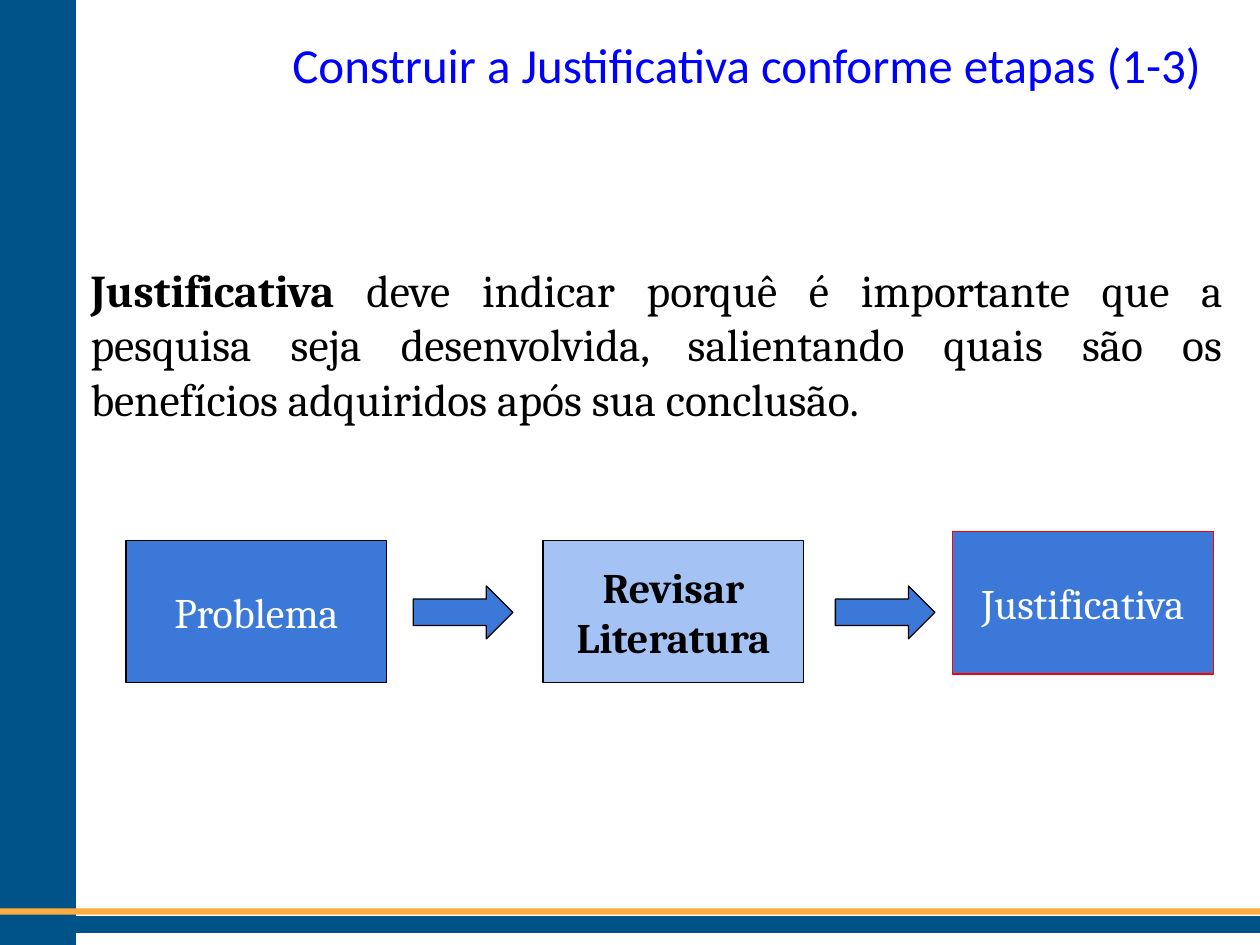
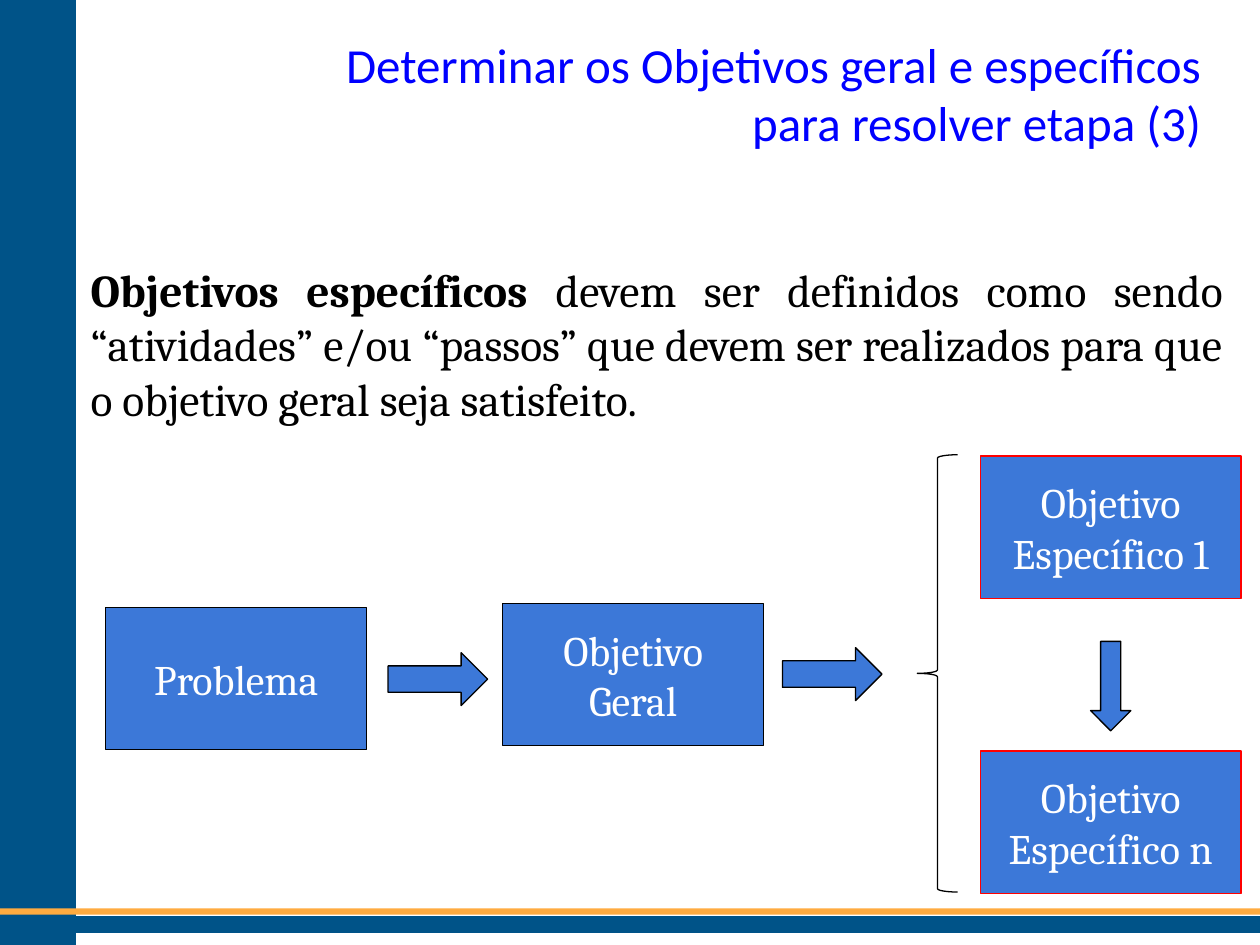
from pptx import Presentation
from pptx.dml.color import RGBColor
from pptx.enum.shapes import MSO_SHAPE
from pptx.enum.text import MSO_ANCHOR, MSO_AUTO_SIZE, PP_ALIGN
from pptx.util import Inches, Pt

RECTANGLE = MSO_SHAPE.RECTANGLE
RIGHT_ARROW = MSO_SHAPE.RIGHT_ARROW
DOWN_ARROW = MSO_SHAPE.DOWN_ARROW
LEFT_BRACE = MSO_SHAPE.LEFT_BRACE
TOP, MIDDLE = MSO_ANCHOR.TOP, MSO_ANCHOR.MIDDLE
CENTER, RIGHT, JUSTIFY = PP_ALIGN.CENTER, PP_ALIGN.RIGHT, PP_ALIGN.JUSTIFY
NO_AUTOFIT = MSO_AUTO_SIZE.NONE

NAVY, ORANGE = "005388", "FFAB40"
BLUE, LIGHT_BLUE = "3C78D8", "A4C2F4"
TITLE_BLUE, RED, BLACK, WHITE = "0000FF", "FF0000", "000000", "FFFFFF"
TITLE_FONT, BODY_FONT = "Calibri", "Cambria"
TITLE_ONLY_LAYOUT = 5
STEP_WIDTH, STEP_HEIGHT = 2.07, 1.13
ARROW_WIDTH, ARROW_HEIGHT = 0.79, 0.42


def color(hex_value):
    return RGBColor.from_string(hex_value)


def add_run(paragraph, text, size=24, font=BODY_FONT, ink=BLACK, bold=False):
    run = paragraph.add_run()
    run.text = text
    run.font.size = Pt(size)
    run.font.name = font
    run.font.bold = bold
    run.font.color.rgb = color(ink)


def set_frame(shape, align, anchor, vertical_margin=0.1):
    frame = shape.text_frame
    frame.word_wrap = True
    frame.auto_size = NO_AUTOFIT
    frame.vertical_anchor = anchor
    frame.margin_left = frame.margin_right = Inches(0.1)
    frame.margin_top = frame.margin_bottom = Inches(vertical_margin)
    paragraph = frame.paragraphs[0]
    paragraph.alignment = align
    return paragraph


def add_figure(slide, kind, box, fill=None, line=None, line_width=0.75):
    shape = slide.shapes.add_shape(kind, *map(Inches, box))
    shape.shadow.inherit = False
    if fill:
        shape.fill.solid()
        shape.fill.fore_color.rgb = color(fill)
    else:
        shape.fill.background()
    if line:
        shape.line.color.rgb = color(line)
        shape.line.width = Pt(line_width)
    else:
        shape.line.fill.background()
    return shape


def add_bands(slide):
    add_figure(slide, RECTANGLE, (0, 0, 0.6, 7.5), NAVY, NAVY, 1)
    add_figure(slide, RECTANGLE, (0, 7.28, 10, 0.12), NAVY, NAVY, 1)
    add_figure(slide, RECTANGLE, (0, 7.21, 10, 0.05), ORANGE)


def add_title(slide, text, box):
    title = slide.shapes.title
    title.left, title.top, title.width, title.height = map(Inches, box)
    add_run(set_frame(title, RIGHT, TOP), text, size=28, font=TITLE_FONT, ink=TITLE_BLUE)


def add_definition(slide, term, explanation, box):
    text_box = slide.shapes.add_textbox(*map(Inches, box))
    paragraph = set_frame(text_box, JUSTIFY, TOP, vertical_margin=0.05)
    add_run(paragraph, term, size=26, bold=True)
    add_run(paragraph, explanation, size=26)


def add_step(slide, text, left, top, fill=BLUE, line=BLACK, ink=WHITE, bold=False):
    step = add_figure(slide, RECTANGLE, (left, top, STEP_WIDTH, STEP_HEIGHT), fill, line)
    add_run(set_frame(step, CENTER, MIDDLE), text, ink=ink, bold=bold)


def add_right_arrow(slide, left, top):
    add_figure(slide, RIGHT_ARROW, (left, top, ARROW_WIDTH, ARROW_HEIGHT), BLUE, BLACK)


def add_justification_flow(slide, left, top):
    add_step(slide, "Problema", left, top + 0.07)
    add_right_arrow(slide, left + 2.28, top + 0.43)
    add_step(slide, "Revisar Literatura", left + 3.31, top + 0.07,
             fill=LIGHT_BLUE, ink=BLACK, bold=True)
    add_right_arrow(slide, left + 5.63, top + 0.43)
    add_step(slide, "Justificativa", left + 6.56, top, line=RED)


def add_specific_objectives(slide, left, top, height):
    add_figure(slide, LEFT_BRACE, (left, top, 0.32, height), line=BLACK)
    step_left = left + 0.5
    last_top = top + height - STEP_HEIGHT
    add_step(slide, "Objetivo Específico 1", step_left, top + 0.01, line=RED)
    add_step(slide, "Objetivo Específico n", step_left, last_top + 0.01, line=RED)
    arrow_left = step_left + (STEP_WIDTH - 0.32) / 2
    add_figure(slide, DOWN_ARROW, (arrow_left, top + 1.48, 0.32, 0.71), BLUE, BLACK)


def add_objectives_flow(slide, left, top):
    add_step(slide, "Problema", left, top + 1.21)
    add_right_arrow(slide, left + 2.24, top + 1.57)
    add_step(slide, "Objetivo Geral", left + 3.15, top + 1.18)
    add_right_arrow(slide, left + 5.37, top + 1.53)
    add_specific_objectives(slide, left + 6.44, top, 3.47)


def add_content_slide(presentation, title, title_box, term, explanation, body_height):
    slide = presentation.slides.add_slide(presentation.slide_layouts[TITLE_ONLY_LAYOUT])
    add_bands(slide)
    add_title(slide, title, title_box)
    add_definition(slide, term, explanation, (0.62, 2.03, 9.19, body_height))
    return slide


def main():
    presentation = Presentation()
    presentation.slide_width, presentation.slide_height = Inches(10), Inches(7.5)

    justification = add_content_slide(
        presentation, "Construir a Justificativa conforme etapas (1-3)",
        (1.62, 0.17, 8.01, 0.78), "Justificativa ",
        "deve indicar porquê é importante que a pesquisa seja desenvolvida, "
        "salientando quais são os benefícios adquiridos após sua conclusão.", 1.57)
    add_justification_flow(justification, 1, 4.22)

    objectives = add_content_slide(
        presentation, "Determinar os Objetivos geral e específicos para resolver etapa (3)",
        (2.6, 0.17, 7.03, 0.78), "Objetivos específicos",
        " devem ser definidos como sendo “atividades” e/ou “passos” que devem "
        "ser realizados para que o objetivo geral seja satisfeito.", 1.94)
    add_objectives_flow(objectives, 0.84, 3.61)

    presentation.save("out.pptx")


if __name__ == "__main__":
    main()
